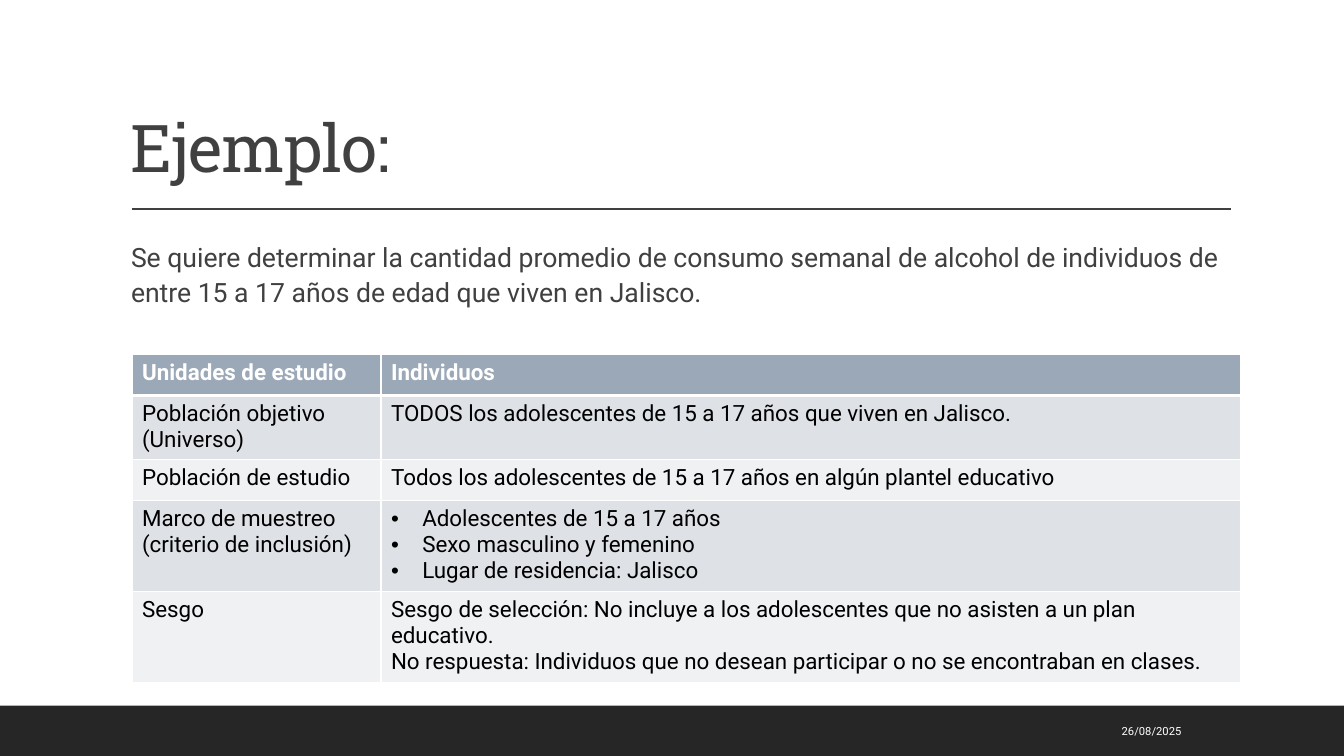
from dataclasses import dataclass

from pptx import Presentation
from pptx.dml.color import RGBColor
from pptx.enum.shapes import MSO_CONNECTOR, MSO_SHAPE
from pptx.enum.text import MSO_ANCHOR, PP_ALIGN
from pptx.oxml.ns import qn
from pptx.slide import Slide
from pptx.table import _Cell
from pptx.text.text import TextFrame, _Paragraph
from pptx.util import Inches, Pt
from lxml.etree import SubElement

WHITE = RGBColor(0xFF, 0xFF, 0xFF)
BLACK = RGBColor(0x00, 0x00, 0x00)
CHARCOAL = RGBColor(0x26, 0x26, 0x26)
GRAY = RGBColor(0x40, 0x40, 0x40)
HEADER_BLUE = RGBColor(0x9B, 0xA8, 0xB7)
BANDS = (RGBColor(0xDE, 0xE1, 0xE6), RGBColor(0xEF, 0xF1, 0xF3))

UNIT = Inches(0.1)  # side of one grid cell: the slide is 133.3 columns by 75 rows
SLIDE_COLUMNS, SLIDE_ROWS = 133.33, 75
MARGIN, CONTENT_COLUMNS = 13, 110


@dataclass(frozen=True)
class Area:
    """A rectangle in grid columns and rows."""
    column: float
    row: float
    columns: float
    rows: float

    def emu(self) -> tuple[int, ...]:
        return tuple(grid(n) for n in (self.column, self.row, self.columns, self.rows))


@dataclass(frozen=True)
class TextStyle:
    size: float
    color: RGBColor
    family: str = "Roboto"
    bold: bool = False


@dataclass(frozen=True)
class Caption:
    text: str
    area: Area
    style: TextStyle
    anchor: MSO_ANCHOR = MSO_ANCHOR.TOP
    align: PP_ALIGN = PP_ALIGN.LEFT
    line_spacing: float = 1.0
    side_inset: float = 1
    tracking: int = 0


@dataclass(frozen=True)
class StudyRow:
    concept: str
    details: tuple[str, ...]


TITLE = Caption("Ejemplo:", Area(12, 3.1, CONTENT_COLUMNS, 15.9),
                TextStyle(47, GRAY, "Roboto Slab"), MSO_ANCHOR.BOTTOM,
                line_spacing=0.9, tracking=-50)
QUESTION = Caption(
    "Se quiere determinar la cantidad promedio de consumo semanal de alcohol de "
    "individuos de entre 15 a 17 años de edad que viven en Jalisco.",
    Area(MARGIN, 23.1, 109, 10), TextStyle(19, GRAY), line_spacing=1.1, side_inset=0)
DATE = Caption("26/08/2025", Area(89.9, 70.5, 28.3, 4), TextStyle(8, WHITE),
               MSO_ANCHOR.MIDDLE, PP_ALIGN.RIGHT)

HEADER_STYLE = TextStyle(16, WHITE, bold=True)
CELL_STYLE = TextStyle(16, BLACK)
STUDY_COLUMNS = (24.7, 85.3)
STUDY_ROW_HEIGHT = 4.1
STUDY_ROWS = (
    StudyRow("Unidades de estudio", ("Individuos",)),
    StudyRow("Población objetivo (Universo)",
             ("TODOS los adolescentes de 15 a 17 años que viven en Jalisco.",)),
    StudyRow("Población de estudio",
             ("Todos los adolescentes de 15 a 17 años en algún plantel educativo",)),
    StudyRow("Marco de muestreo (criterio de inclusión)",
             ("Adolescentes de 15 a 17 años", "Sexo masculino y femenino",
              "Lugar de residencia: Jalisco")),
    StudyRow("Sesgo",
             ("Sesgo de selección: No incluye a los adolescentes que no asisten a un "
              "plan educativo.\nNo respuesta: Individuos que no desean participar o no "
              "se encontraban en clases.",)),
)


def grid(count: float) -> int:
    return round(count * UNIT)


def style_runs(paragraph: _Paragraph, style: TextStyle) -> None:
    for run in paragraph.runs:
        run.font.size = Pt(style.size)
        run.font.name = style.family
        run.font.bold = style.bold
        run.font.color.rgb = style.color


def add_caption(slide: Slide, caption: Caption) -> None:
    frame = slide.shapes.add_textbox(*caption.area.emu()).text_frame
    frame.word_wrap = True
    frame.vertical_anchor = caption.anchor
    frame.margin_left = frame.margin_right = grid(caption.side_inset)
    paragraph = frame.paragraphs[0]
    paragraph.text = caption.text
    paragraph.alignment = caption.align
    paragraph.line_spacing = caption.line_spacing
    style_runs(paragraph, caption.style)
    if caption.tracking:
        for run in paragraph.runs:
            run.font._element.set("spc", str(caption.tracking))


def add_bullet(paragraph: _Paragraph) -> None:
    properties = paragraph._p.get_or_add_pPr()
    properties.set("marL", str(grid(3.1)))
    properties.set("indent", str(-grid(3.1)))
    SubElement(properties, qn("a:buFont"), typeface="Arial")
    SubElement(properties, qn("a:buChar"), char="•")


def fill_text(frame: TextFrame, lines: tuple[str, ...], style: TextStyle) -> None:
    """Write one paragraph per line, bulleted when there are several."""
    for index, line in enumerate(lines):
        paragraph = frame.paragraphs[0] if index == 0 else frame.add_paragraph()
        paragraph.text = line
        if len(lines) > 1:
            add_bullet(paragraph)
        style_runs(paragraph, style)


def add_borders(cell: _Cell, top: float, bottom: float) -> None:
    properties = cell._tc.get_or_add_tcPr()
    for side, width in (("L", 1), ("R", 1), ("T", top), ("B", bottom)):
        line = SubElement(properties, qn(f"a:ln{side}"), w=str(Pt(width)))
        SubElement(SubElement(line, qn("a:solidFill")), qn("a:srgbClr"), val=str(WHITE))


def add_study_table(slide: Slide) -> None:
    area = Area(MARGIN + 0.1, 35.15, CONTENT_COLUMNS, STUDY_ROW_HEIGHT * len(STUDY_ROWS))
    table = slide.shapes.add_table(len(STUDY_ROWS), len(STUDY_COLUMNS), *area.emu()).table
    for column, width in zip(table.columns, STUDY_COLUMNS):
        column.width = grid(width)
    for index, study_row in enumerate(STUDY_ROWS):
        table.rows[index].height = grid(STUDY_ROW_HEIGHT)
        is_header = index == 0
        for column, lines in enumerate(((study_row.concept,), study_row.details)):
            cell = table.cell(index, column)
            add_borders(cell, top=3 if index == 1 else 1, bottom=3 if is_header else 1)
            cell.fill.solid()
            cell.fill.fore_color.rgb = HEADER_BLUE if is_header else BANDS[(index - 1) % 2]
            fill_text(cell.text_frame, lines, HEADER_STYLE if is_header else CELL_STYLE)


def add_footer_band(slide: Slide) -> None:
    band = slide.shapes.add_shape(MSO_SHAPE.RECTANGLE, *Area(0, 70, SLIDE_COLUMNS, 5).emu())
    band.shadow.inherit = False
    band.fill.solid()
    band.fill.fore_color.rgb = CHARCOAL
    band.line.fill.background()


def add_title_rule(slide: Slide) -> None:
    left, height = grid(MARGIN + 0.1), grid(20.75)
    rule = slide.shapes.add_connector(MSO_CONNECTOR.STRAIGHT, left, height,
                                      left + grid(109), height)
    rule.line.color.rgb = GRAY
    rule.line.width = Pt(1)
    SubElement(rule._element.spPr, qn("a:effectLst"))


def main() -> None:
    presentation = Presentation()
    presentation.slide_width = grid(SLIDE_COLUMNS)
    presentation.slide_height = grid(SLIDE_ROWS)
    slide = presentation.slides.add_slide(presentation.slide_layouts[6])
    add_footer_band(slide)
    add_title_rule(slide)
    for caption in (TITLE, QUESTION, DATE):
        add_caption(slide, caption)
    add_study_table(slide)
    presentation.save("out.pptx")


if __name__ == "__main__":
    main()
